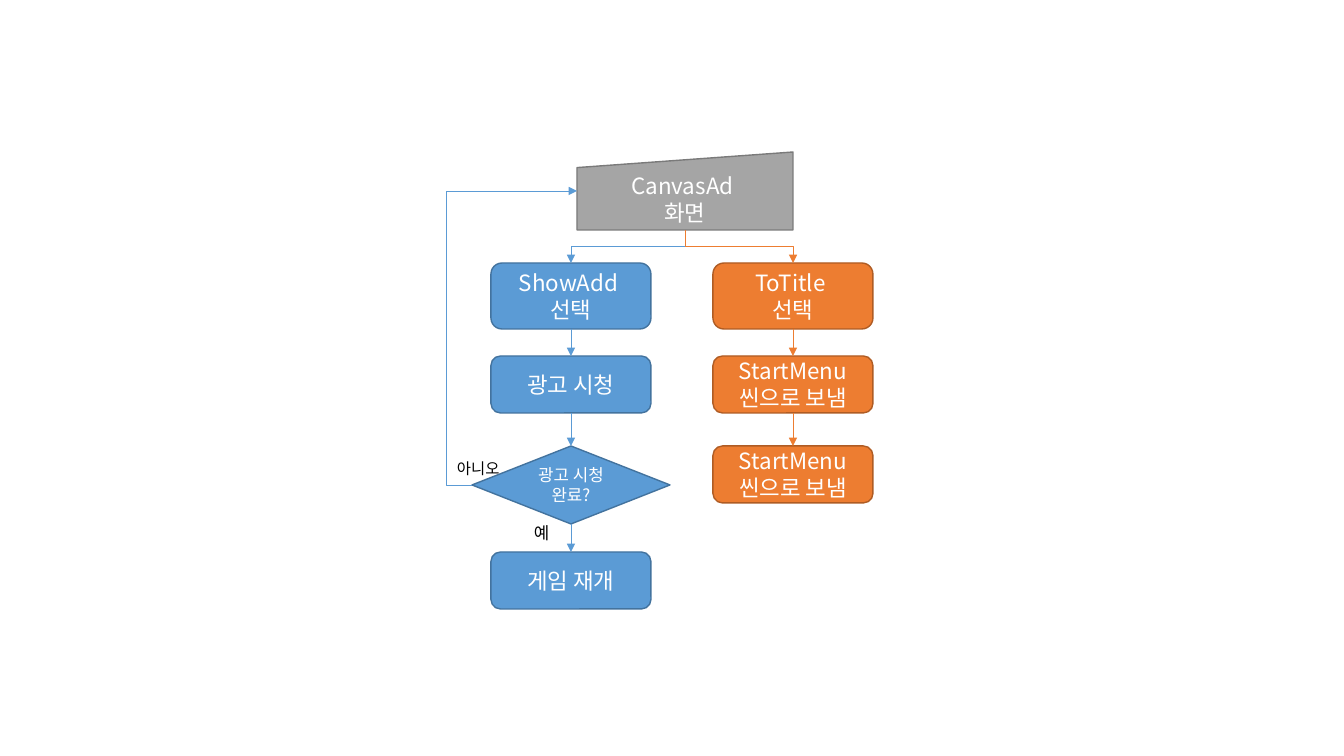
"""Build a flowchart of the ad screen with its two branches."""
from lxml import etree
from pptx import Presentation, util as u
from pptx.dml.color import RGBColor
from pptx.enum import shapes, text
from pptx.oxml.ns import qn

FONT = "Noto Sans CJK KR"
WHITE, BLACK = RGBColor(255, 255, 255), RGBColor(0, 0, 0)
BLUE, BLUE_EDGE = RGBColor(0x5B, 0x9B, 0xD5), RGBColor(0x43, 0x73, 0x9E)
ORANGE, ORANGE_EDGE = RGBColor(0xED, 0x7D, 0x31), RGBColor(0xAF, 0x5C, 0x24)
GRAY, GRAY_EDGE = RGBColor(0xA5, 0xA5, 0xA5), RGBColor(0x7A, 0x7A, 0x7A)
EDGES = {BLUE: BLUE_EDGE, ORANGE: ORANGE_EDGE, GRAY: GRAY_EDGE}
ROUND = shapes.MSO_SHAPE.ROUNDED_RECTANGLE
MANUAL = shapes.MSO_SHAPE.FLOWCHART_MANUAL_INPUT
DECISION = shapes.MSO_SHAPE.FLOWCHART_DECISION
TOP, LEFT, BOTTOM = 0, 1, 2

AD_X, SCREEN_X, TITLE_X = 571, 685, 793
STEPS = {
    "screen": (MANUAL, "CanvasAd \v화면", SCREEN_X, 152, 216, 78, GRAY, 16),
    "show_ad": (ROUND, "ShowAdd \v선택", AD_X, 263, 160, 66, BLUE, 16),
    "watch_ad": (ROUND, "광고 시청", AD_X, 356, 160, 57, BLUE, 16),
    "finished": (DECISION, "광고 시청 완료?", AD_X, 446, 198, 78, BLUE, 12),
    "resume": (ROUND, "게임 재개", AD_X, 552, 160, 57, BLUE, 16),
    "to_title": (ROUND, "ToTitle \n선택", TITLE_X, 263, 160, 66, ORANGE, 16),
    "start_menu": (ROUND, "StartMenu\n씬으로 보냄", TITLE_X, 356, 160, 57, ORANGE, 16),
    "start_menu_end": (ROUND, "StartMenu\n씬으로 보냄", TITLE_X, 446, 160, 57, ORANGE, 16),
}
CHAINS = [
    (BLUE, ["show_ad", "watch_ad", "finished", "resume"]),
    (ORANGE, ["to_title", "start_menu", "start_menu_end"]),
]
LABELS = [("예", 524, 518, 61, 30, 12), ("아니오", 447, 454, 78, 29, 11)]


def px(length):
    return u.Emu(round(length * 914400 / 100.8))


def style_text(frame, size, color, align):
    for para in frame.paragraphs:
        para.alignment = align
        for span in para.runs:
            span.font.size, span.font.name = u.Pt(size), FONT
            span.font.color.rgb = color
            etree.SubElement(span.font._element, qn("a:ea"), typeface=FONT)


def add_step(page, kind, words, center, top, width, height, color, size):
    box = page.shapes.add_shape(kind, px(center - width / 2), px(top), px(width), px(height))
    box.shadow.inherit = False
    box.fill.solid()
    box.fill.fore_color.rgb = color
    box.line.color.rgb, box.line.width = EDGES[color], u.Pt(1)
    frame = box.text_frame
    frame.text = words
    frame.vertical_anchor = text.MSO_ANCHOR.MIDDLE
    if kind == MANUAL:
        frame.margin_left = frame.margin_right = frame.margin_top = frame.margin_bottom = 0
    style_text(frame, size, WHITE, text.PP_ALIGN.CENTER)
    return box


def add_arrow(page, kind, start, start_site, end, end_site, color):
    arrow = page.shapes.add_connector(kind, 0, 0, 0, 0)
    arrow.begin_connect(start, start_site)
    arrow.end_connect(end, end_site)
    arrow.line.color.rgb, arrow.line.width = color, u.Pt(0.5)
    etree.SubElement(arrow.line._get_or_add_ln(), qn("a:tailEnd"), type="triangle")
    etree.SubElement(arrow._element.spPr, qn("a:effectLst"))
    return arrow


def turn_downward(arrow):
    """Rotate an elbow so that it leaves and arrives vertically."""
    goes_left = arrow.end_x < arrow.begin_x
    left, top, width, height = arrow.left, arrow.top, arrow.width, arrow.height
    arrow.left, arrow.top = left + (width - height) // 2, top + (height - width) // 2
    arrow.width, arrow.height = height, width
    frame = arrow._element.spPr.find(qn("a:xfrm"))
    frame.set("rot", str((90 if goes_left else 270) * 60000))
    frame.set("flipH", "0" if goes_left else "1")


deck = Presentation()
deck.slide_width, deck.slide_height = px(1344), px(756)
page = deck.slides.add_slide(deck.slide_layouts[6])
boxes = {name: add_step(page, *step) for name, step in STEPS.items()}

STRAIGHT, ELBOW = shapes.MSO_CONNECTOR.STRAIGHT, shapes.MSO_CONNECTOR.ELBOW
for color, chain in CHAINS:
    turn_downward(add_arrow(page, ELBOW, boxes["screen"], BOTTOM, boxes[chain[0]], TOP, color))
    for upper, lower in zip(chain, chain[1:]):
        add_arrow(page, STRAIGHT, boxes[upper], BOTTOM, boxes[lower], TOP, color)

retry = add_arrow(page, ELBOW, boxes["finished"], LEFT, boxes["screen"], LEFT, BLUE)
guides = retry._element.spPr.find(qn("a:prstGeom")).find(qn("a:avLst"))
etree.SubElement(guides, qn("a:gd"), name="adj1", fmla="val -24000")

for words, left, top, width, height, size in LABELS:
    label = page.shapes.add_textbox(px(left), px(top), px(width), px(height))
    label.text_frame.word_wrap = True
    label.text_frame.text = words
    style_text(label.text_frame, size, BLACK, text.PP_ALIGN.LEFT)

deck.save("out.pptx")
